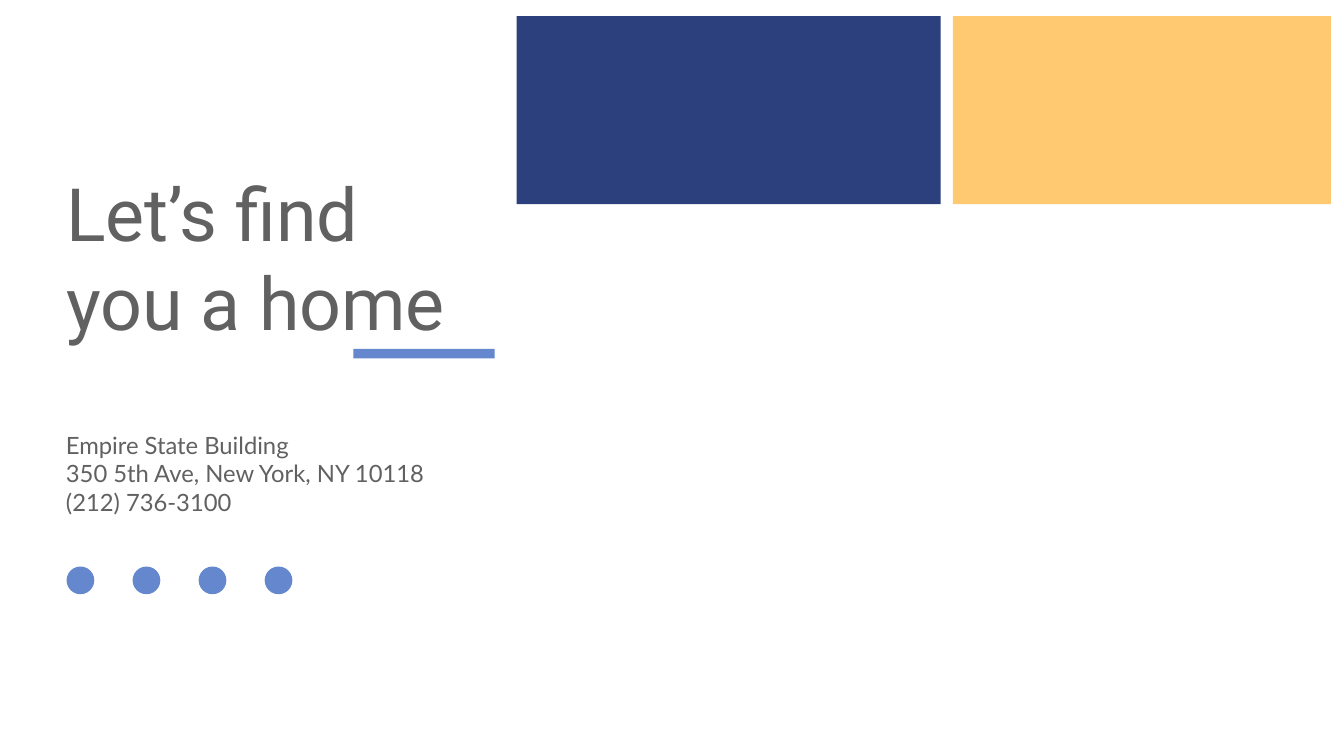
"""Build the closing contact slide of a real estate deck."""
from dataclasses import dataclass

from pptx import Presentation
from pptx.dml.color import RGBColor
from pptx.enum.shapes import MSO_SHAPE
from pptx.enum.text import MSO_ANCHOR, MSO_AUTO_SIZE, PP_ALIGN
from pptx.util import Inches, Pt

RECTANGLE, OVAL = MSO_SHAPE.RECTANGLE, MSO_SHAPE.OVAL
TOP, LEFT, NO_FIT = MSO_ANCHOR.TOP, PP_ALIGN.LEFT, MSO_AUTO_SIZE.NONE
TITLE_ONLY = 5


@dataclass(frozen=True)
class Theme:
    navy: str = "2C407E"
    amber: str = "FFC971"
    accent: str = "6587CD"
    text: str = "606160"
    title_font: str = "Roboto"
    title_size: int = 105
    body_font: str = "Lato"
    body_size: int = 34


class SlideBuilder:
    def __init__(self, slide, theme):
        self.slide = slide
        self.theme = theme

    def block(self, kind, box, color):
        shape = self.slide.shapes.add_shape(kind, *map(Inches, box))
        shape.shadow.inherit = False
        shape.fill.solid()
        shape.fill.fore_color.rgb = RGBColor.from_string(color)
        shape.line.fill.background()

    def set_lines(self, shape, lines, font, size):
        frame = shape.text_frame
        frame_format = {"word_wrap": True, "auto_size": NO_FIT, "vertical_anchor": TOP}
        for name, value in frame_format.items():
            setattr(frame, name, value)
        frame.text = "\n".join(lines)
        for para in frame.paragraphs:
            para.alignment = LEFT
            for name, value in {"name": font, "size": Pt(size)}.items():
                setattr(para.font, name, value)
            para.font.color.rgb = RGBColor.from_string(self.theme.text)

    def title(self, box, lines):
        shape = self.slide.shapes.title
        for name, value in zip(("left", "top", "width", "height"), box):
            setattr(shape, name, Inches(value))
        self.set_lines(shape, lines, self.theme.title_font, self.theme.title_size)

    def text(self, box, lines):
        shape = self.slide.shapes.add_textbox(*map(Inches, box))
        self.set_lines(shape, lines, self.theme.body_font, self.theme.body_size)


def main():
    deck = Presentation()
    deck.slide_width, deck.slide_height = Inches(26.66), Inches(15)
    theme = Theme()
    page = SlideBuilder(deck.slides.add_slide(deck.slide_layouts[TITLE_ONLY]), theme)

    page.block(RECTANGLE, (18.9, 0.32, 7.5, 3.73), theme.amber)
    page.block(RECTANGLE, (10.25, 0.32, 8.41, 3.73), theme.navy)
    page.title((1.21, 3.29, 8.8, 3.64), ["Let’s find", "you a home"])
    page.block(RECTANGLE, (7.01, 6.92, 2.8, 0.19), theme.accent)
    page.text((1.21, 8.49, 8.09, 1.82), [
        "Empire State Building",
        "350 5th Ave, New York, NY 10118",
        "(212) 736-3100",
    ])

    dot_size, dot_pitch = 0.55, 1.31
    for index in range(4):
        left = 1.32 + index * dot_pitch
        page.block(OVAL, (left, 11.24, dot_size, dot_size), theme.accent)

    deck.save("out.pptx")


if __name__ == "__main__":
    main()
